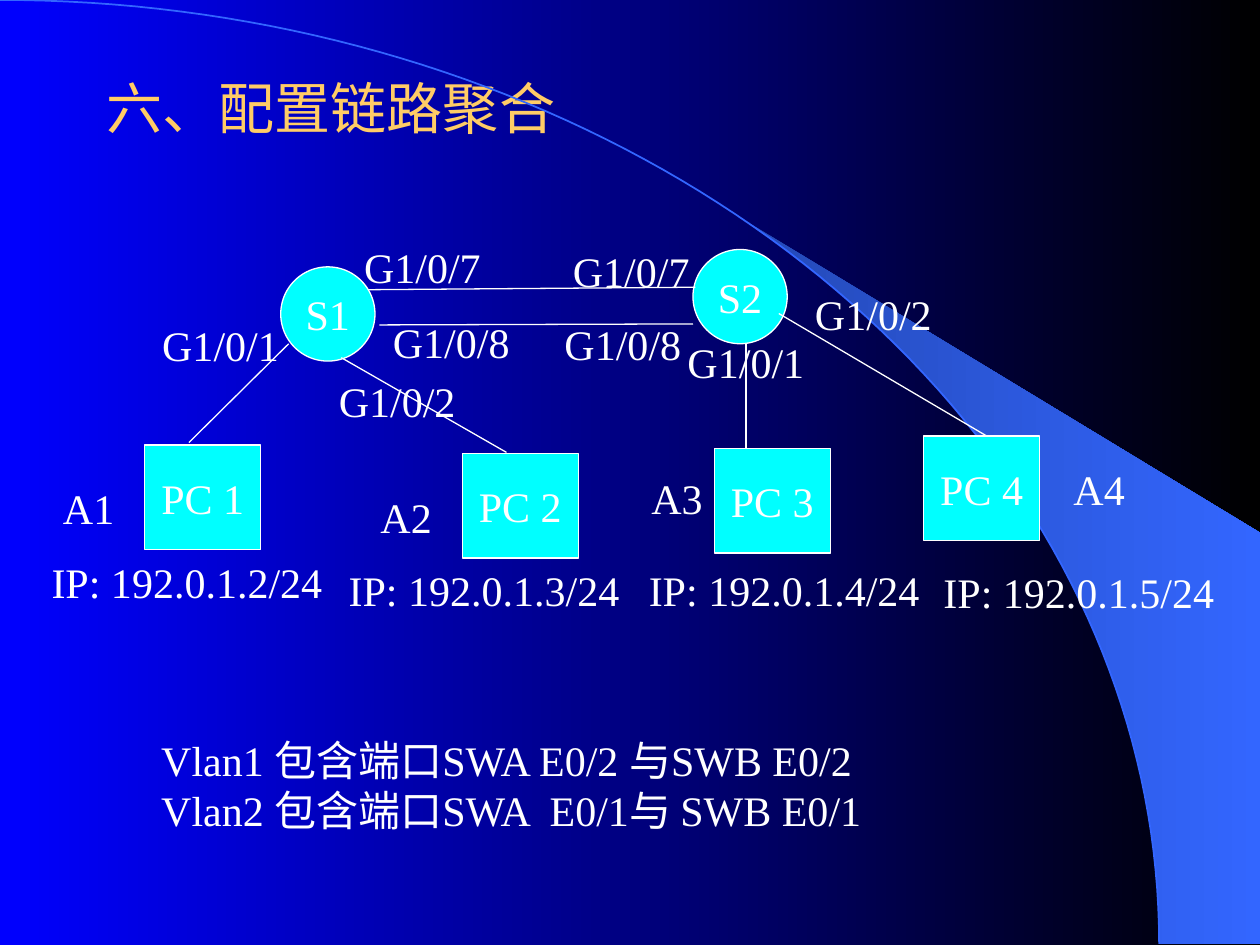
from dataclasses import dataclass
from math import asin, cos, pi, sin

from lxml import etree
from pptx import Presentation
from pptx.dml.color import RGBColor
from pptx.enum.shapes import MSO_CONNECTOR, MSO_SHAPE
from pptx.enum.text import MSO_ANCHOR, PP_ALIGN
from pptx.oxml.ns import qn
from pptx.util import Cm, Pt

OVAL, RECT = MSO_SHAPE.OVAL, MSO_SHAPE.RECTANGLE
STRAIGHT = MSO_CONNECTOR.STRAIGHT
MIDDLE = MSO_ANCHOR.MIDDLE
LEFT, CENTER = PP_ALIGN.LEFT, PP_ALIGN.CENTER


@dataclass(frozen=True)
class Theme:
    back: tuple = ("0000FF", "000000")
    beam: tuple = ("2449B6", "3366FF")
    arc: str = "3366FF"
    title: str = "FFCC66"
    text: str = "FFFFFF"
    node: str = "00FFFF"
    title_font: str = "Arial"
    body_font: str = "Times New Roman"
    title_size: int = 32
    body_size: int = 24
    arc_width: float = 1
    line_width: float = 0.75


T = Theme()

SWITCH_SIZE = 1.9
PC_W, PC_H = 2.34, 2.11
LABEL_H = 1.27

# All places are in cm from the top left corner of the diagram.
SWITCHES = [("S1", 4.86, 0.63), ("S2", 13.17, 0.28)]

# name, place, area, offset of area label, address, offset of address label
PCS = [
    ("PC 1", (2.12, 4.22), "A1", (-1.9, 0.63), "IP: 192.0.1.2/24", (-2.13, 2.13)),
    ("PC 2", (8.52, 4.39), "A2", (-1.9, 0.64), "IP: 192.0.1.3/24", (-2.54, 2.11)),
    ("PC 3", (13.6, 4.29), "A3", (-1.52, 0.36), "IP: 192.0.1.4/24", (-1.57, 2.21)),
    ("PC 4", (17.82, 4.04), "A4", (2.77, 0.43), "IP: 192.0.1.5/24", (0.15, 2.51)),
]

LINKS = [
    ((13.22, 1.04), (6.62, 1.09)),
    ((13.17, 1.78), (6.85, 1.8)),
    ((3.01, 4.17), (5.02, 2.18)),
    ((9.41, 4.37), (6.08, 2.46)),
    ((14.24, 2.18), (14.24, 4.29)),
    ((19.09, 4.04), (14.9, 1.57)),
]

PORTS = [
    ("G1/0/7", 6.29, 0), ("G1/0/7", 10.5, 0.08),
    ("G1/0/8", 6.87, 1.5), ("G1/0/8", 10.33, 1.55),
    ("G1/0/1", 2.22, 1.57), ("G1/0/2", 5.78, 2.69),
    ("G1/0/1", 12.81, 1.9), ("G1/0/2", 15.38, 0.94),
]

VLANS = ["Vlan1 包含端口SWA E0/2 与SWB E0/2",
         "Vlan2 包含端口SWA  E0/1与 SWB E0/1"]


def rgb(value):
    return RGBColor.from_string(value)


def set_gradient(fill, colors):
    """Fill from left to right."""
    fill.gradient()
    fill.gradient_angle = 0
    for stop, color, position in zip(fill.gradient_stops, colors, (0, 1)):
        stop.color.rgb = rgb(color)
        stop.position = position


def set_font(p, name, size, color):
    p.font.name = name
    p.font.size = Pt(size)
    p.font.color.rgb = rgb(color)


def set_line(line, color, width):
    line.color.rgb = rgb(color)
    line.width = Pt(width)


def add_text(s, lines, x, y, w, h, wrap=False):
    tf = s.shapes.add_textbox(Cm(x), Cm(y), Cm(w), Cm(h)).text_frame
    tf.word_wrap = wrap
    tf.text = "\n".join(lines)
    for p in tf.paragraphs:
        set_font(p, T.body_font, T.body_size, T.text)


def add_node(s, kind, name, x, y, w, h):
    sp = s.shapes.add_shape(kind, Cm(x), Cm(y), Cm(w), Cm(h))
    sp.shadow.inherit = False
    sp.fill.solid()
    sp.fill.fore_color.rgb = rgb(T.node)
    set_line(sp.line, T.text, T.line_width)
    tf = sp.text_frame
    tf.word_wrap = False
    tf.vertical_anchor = MIDDLE
    p = tf.paragraphs[0]
    p.text = name
    p.alignment = CENTER
    set_font(p, T.body_font, T.body_size, T.text)


def add_link(s, x1, y1, x2, y2):
    link = s.shapes.add_connector(STRAIGHT, Cm(x1), Cm(y1), Cm(x2), Cm(y2))
    set_line(link.line, T.text, T.line_width)
    etree.SubElement(link._element.spPr, qn("a:effectLst"))


def add_outline(s, points, close):
    points = [(Cm(x), Cm(y)) for x, y in points]
    builder = s.shapes.build_freeform(*points[0])
    builder.add_line_segments(points[1:], close=close)
    sp = builder.convert_to_shape()
    sp.shadow.inherit = False
    return sp


def draw_backdrop(s, x, y, w, h):
    """Gradient, quarter ellipse and the beam that touches it."""
    set_gradient(s.background.fill, T.back)
    rx, ry = 0.92 * w, h
    touch_x, beam_y = 0.64 * rx, y + 10.74

    def arc(start, steps):
        angles = (start + (pi / 2 - start) * i / steps for i in range(steps + 1))
        return [(x + rx * sin(a), y + ry * (1 - cos(a))) for a in angles]

    corner = [(x + w, y + h), (x + w, beam_y)]
    beam = add_outline(s, arc(asin(touch_x / rx), 40) + corner, True)
    set_gradient(beam.fill, T.beam)
    beam.line.fill.background()
    curve = add_outline(s, arc(0, 80), False)
    curve.fill.background()
    set_line(curve.line, T.arc, T.arc_width)


def place_title(s, text, x, y, w, h):
    sp = s.shapes.title
    sp.left, sp.top, sp.width, sp.height = Cm(x), Cm(y), Cm(w), Cm(h)
    tf = sp.text_frame
    tf.text = text
    tf.vertical_anchor = MIDDLE
    p = tf.paragraphs[0]
    p.alignment = LEFT
    set_font(p, T.title_font, T.title_size, T.title)


def draw_network(s, x, y):
    for name, dx, dy in SWITCHES:
        add_node(s, OVAL, name, x + dx, y + dy, SWITCH_SIZE, SWITCH_SIZE)
    for name, (dx, dy), area, (ax, ay), address, (ix, iy) in PCS:
        px, py = x + dx, y + dy
        add_node(s, RECT, name, px, py, PC_W, PC_H)
        add_text(s, [area], px + ax, py + ay, 1.68, LABEL_H)
        add_text(s, [address], px + ix, py + iy, 6.2, LABEL_H)
    for (x1, y1), (x2, y2) in LINKS:
        add_link(s, x + x1, y + y1, x + x2, y + y2)
    for port, dx, dy in PORTS:
        add_text(s, [port], x + dx, y + dy, 2.9, LABEL_H)


def main():
    prs = Presentation()
    prs.slide_width, prs.slide_height = Cm(25.4), Cm(19.05)
    s = prs.slides.add_slide(prs.slide_layouts[5])
    draw_backdrop(s, 0, 0, 25.4, 19.03)
    place_title(s, "六、配置链路聚合", 1.9, 0.56, 21.6, 3.18)
    draw_network(s, 0.8, 4.75)
    add_text(s, VLANS, 3, 14.68, 14.63, 4.2, wrap=True)
    prs.save("out.pptx")


if __name__ == "__main__":
    main()
